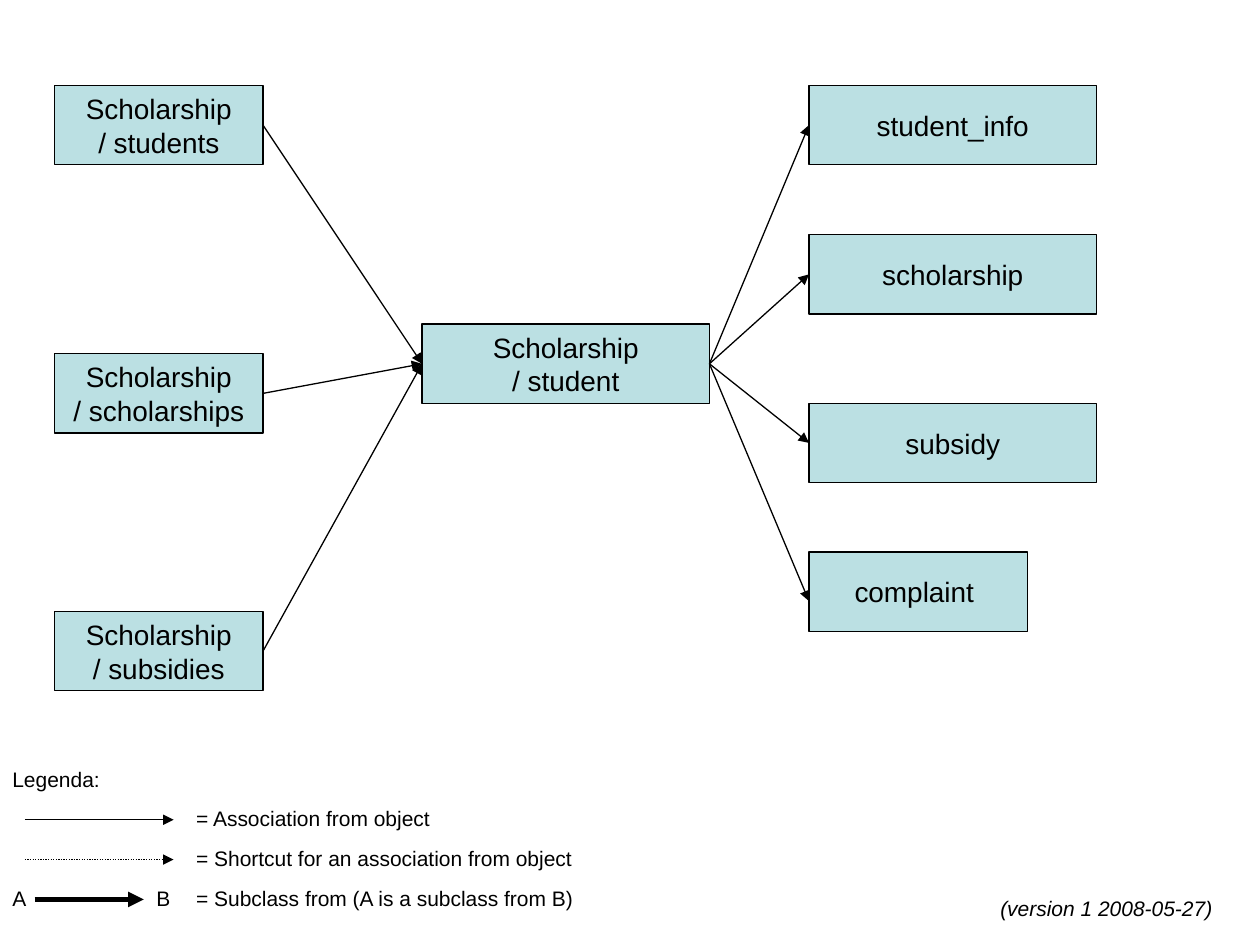
from pptx import Presentation
from pptx.dml.color import RGBColor
from pptx.enum.dml import MSO_LINE
from pptx.enum.shapes import MSO_CONNECTOR, MSO_SHAPE
from pptx.enum.text import MSO_ANCHOR, PP_ALIGN
from pptx.oxml.ns import qn
from pptx.util import Pt
from lxml.etree import SubElement

INK = {"box": "BBE0E3", "black": "000000"}
FONT = "Arial"
BOX_H = 45.4
SIDE_W, WIDE_W = 119.1, 164.2
LEFT_X, HUB_X, RIGHT_X = 31.2, 241.2, 462.3

HUB = ("Scholarship\n/ student", HUB_X, 185.2, WIDE_W)
SOURCES = [
    ("Scholarship\n/ students", 48.8),
    ("Scholarship\n/ scholarships", 202.1),
    ("Scholarship\n/ subsidies", 349.4),
]
TARGETS = [
    ("student_info", 48.8, WIDE_W),
    ("scholarship", 134.1, WIDE_W),
    ("subsidy", 230.4, WIDE_W),
]
LAST = ("complaint ", RIGHT_X, 315.4, 124.7)
LAST_TIP = 343.5

KEY_Y, KEY_STEP, KEY_MID = 434.2, 22.75, 11.5
KEY_X, KEY_H = 105, 21.6
KEYS = [
    ("= Association from object", 215, 14.2, 99.2, 0.75, None),
    ("= Shortcut for an association from object", 238, 14.2, 99.2, 0.75, MSO_LINE.ROUND_DOT),
    ("= Subclass from (A is a subclass from B)", 244, 19.8, 82.2, 3, None),
]
ENDS = [("A", 0), ("B", 82.2)]
VERSION = ("(version 1 2008-05-27)", 564.5, 508, 142)

deck = Presentation()
deck.slide_width, deck.slide_height = Pt(720), Pt(540)
slide = deck.slides.add_slide(deck.slide_layouts[6])
shapes = slide.shapes


def color(name):
    return RGBColor.from_string(INK[name])


def style(frame, size, align, italic=None):
    for para in frame.paragraphs:
        para.alignment = align
        for run in para.runs:
            font = run.font
            font.name, font.size, font.italic = FONT, Pt(size), italic
            font.color.rgb = color("black")


def box(text, x, y, w):
    rect = shapes.add_shape(MSO_SHAPE.RECTANGLE, Pt(x), Pt(y), Pt(w), Pt(BOX_H))
    rect.shadow.inherit = False
    rect.fill.solid()
    rect.fill.fore_color.rgb = color("box")
    rect.line.color.rgb = color("black")
    rect.line.width = Pt(0.75)
    frame = rect.text_frame
    frame.text = text
    frame.word_wrap = False
    frame.vertical_anchor = MSO_ANCHOR.MIDDLE
    style(frame, 16, PP_ALIGN.CENTER)
    return rect


def label(text, x, y, w, wrap=True, italic=None):
    frame = shapes.add_textbox(Pt(x), Pt(y), Pt(w), Pt(KEY_H)).text_frame
    frame.text = text
    frame.word_wrap = wrap
    style(frame, 12, PP_ALIGN.LEFT, italic)


def arrow(x1, y1, x2, y2, width=0.75, dash=None):
    link = shapes.add_connector(MSO_CONNECTOR.STRAIGHT, Pt(x1), Pt(y1), Pt(x2), Pt(y2))
    link.line.color.rgb = color("black")
    link.line.width = Pt(width)
    if dash:
        link.line.dash_style = dash
    SubElement(link.line._get_or_add_ln(), qn("a:tailEnd"), type="triangle")
    SubElement(link._element.spPr, qn("a:effectLst"))
    return link


def join(start, end):
    link = arrow(0, 0, 0, 0)
    link.begin_connect(start, 3)
    link.end_connect(end, 1)


hub = box(*HUB)
for text, y in SOURCES:
    join(box(text, LEFT_X, y, SIDE_W), hub)
for text, y, w in TARGETS:
    join(hub, box(text, RIGHT_X, y, w))
box(*LAST)
arrow(HUB_X + WIDE_W, HUB[2] + BOX_H / 2, RIGHT_X, LAST_TIP).begin_connect(hub, 3)

label("Legenda:", 0, KEY_Y, 119)
for row, (text, w, x1, x2, width, dash) in enumerate(KEYS, 1):
    y = KEY_Y + row * KEY_STEP
    label(text, KEY_X, y, w)
    arrow(x1, y + KEY_MID, x2, y + KEY_MID, width, dash)
for text, x in ENDS:
    label(text, x, KEY_Y + len(KEYS) * KEY_STEP, 22.3, wrap=False)
label(*VERSION, italic=True)

deck.save("out.pptx")
